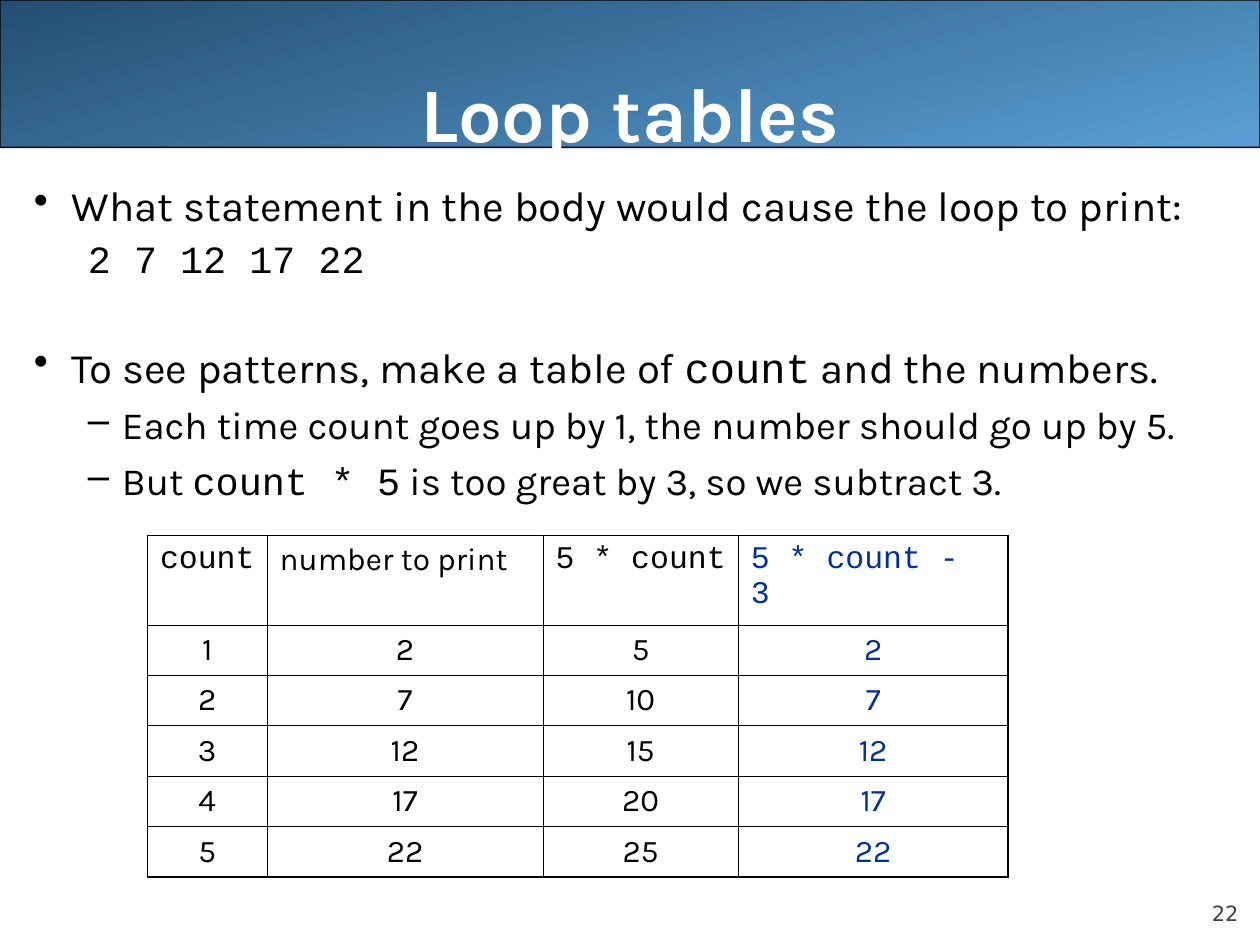
from lxml import etree
from pptx import Presentation
from pptx.dml.color import RGBColor
from pptx.enum.shapes import MSO_SHAPE as Shape
from pptx.enum.text import MSO_ANCHOR as Anchor, PP_ALIGN as Align
from pptx.oxml.ns import qn
from pptx.util import Inches, Pt

THEME = {
    "black": "000000", "white": "FFFFFF", "blue": "003399", "grey": "424242",
    "band": ("244E72", "5A9FD4"),
    "text": "Karla", "code": "Courier New", "number": "DejaVu Sans",
    "title_size": 44, "level_sizes": (24, 22), "table_size": 18, "number_size": 12,
    "outer": 1.08, "inner": 0.45,
}

TITLE = "Loop tables"
PAGE_NUMBER = "22"
# level, bullet, space before, line spacing, runs as (text, font key)
BODY = [
    (0, "•", 6, 0.9,
     [("What statement in the body would cause the loop to print:", "text")]),
    (1, None, 5.5, 0.9, [("2 7 12 17 22", "code")]),
    (0, "•", 34, 1.0, [("To see patterns, make a table of ", "text"),
                       ("count", "code"), (" and the numbers.", "text")]),
    (1, "–", 5.5, 1.0,
     [("Each time count goes up by 1, the number should go up by 5.", "text")]),
    (1, "–", 5.5, 1.0, [("But ", "text"), ("count * 5", "code"),
                        (" is too great by 3, so we subtract 3.", "text")]),
]
INDENTS = ((0.3, -0.3), (0.7, -0.27))

COUNTS = range(1, 6)
# left, text colour, columns as (heading, font key, width, values)
TABLES = [
    (1.17, "black", [
        ("count", "code", 0.95, list(COUNTS)),
        ("number to print", "text", 2.19, [5 * n - 3 for n in COUNTS]),
        ("5 * count", "code", 1.55, [5 * n for n in COUNTS]),
    ]),
    (5.86, "blue", [("5 * count - 3", "code", 2.14, [5 * n - 3 for n in COUNTS])]),
]
TABLE_TOP, HEAD_HEIGHT, ROW_HEIGHT = 4.25, 0.71, 0.4


def style(run, font, size, color, bold=False):
    """Set the font of one run."""
    run.font.name = THEME[font]
    run.font.size = Pt(size)
    run.font.bold = bold
    run.font.color.rgb = RGBColor.from_string(THEME[color])


def set_margins(tf, left, top, right, bottom):
    """Set the text insets in inches."""
    tf.margin_left, tf.margin_top = Inches(left), Inches(top)
    tf.margin_right, tf.margin_bottom = Inches(right), Inches(bottom)


def set_bullet(p, level, bullet):
    """Set the indent and the bullet of a paragraph."""
    left, first = INDENTS[level]
    pPr = p._p.get_or_add_pPr()
    pPr.set("marL", str(Inches(left)))
    pPr.set("indent", str(Inches(first)))
    if bullet:
        etree.SubElement(pPr, qn("a:buChar"), char=bullet)
    else:
        etree.SubElement(pPr, qn("a:buNone"))


def set_borders(cell, widths):
    """Draw the left, right, top and bottom borders of a cell."""
    tcPr = cell._tc.get_or_add_tcPr()
    for i, (side, width) in enumerate(zip("LRTB", widths)):
        ln = etree.Element(qn("a:ln" + side), w=str(Pt(width)))
        fill = etree.SubElement(ln, qn("a:solidFill"))
        etree.SubElement(fill, qn("a:srgbClr"), val=THEME["black"])
        tcPr.insert(i, ln)


def add_band(s):
    """Add the gradient band behind the title."""
    sp = s.shapes.add_shape(Shape.ROUNDED_RECTANGLE, 0, 0, Inches(10), Inches(1.17))
    sp.adjustments[0] = 0.001
    sp.shadow.inherit = False
    sp.fill.gradient()
    sp.fill.gradient_angle = 285
    for stop, color in zip(sp.fill.gradient_stops, THEME["band"]):
        stop.color.rgb = RGBColor.from_string(color)
    sp.line.color.rgb = RGBColor.from_string(THEME["black"])
    sp.line.width = Pt(0.74)
    s.shapes._spTree.insert(2, sp._element)


def add_title(s):
    """Place and format the title."""
    sp = s.shapes.title
    sp.left, sp.top, sp.width, sp.height = map(Inches, (0.5, 0, 9, 1.25))
    tf = sp.text_frame
    tf.text = TITLE
    tf.vertical_anchor = Anchor.BOTTOM
    set_margins(tf, 0, 0.05, 0, 0)
    p = tf.paragraphs[0]
    p.alignment = Align.CENTER
    style(p.runs[0], "text", THEME["title_size"], "white", bold=True)


def add_body(s):
    """Add the bulleted text."""
    tf = s.shapes.add_textbox(*map(Inches, (0.17, 1.42, 9.83, 5.67))).text_frame
    tf.word_wrap = True
    for i, (level, bullet, before, spacing, runs) in enumerate(BODY):
        p = tf.add_paragraph() if i else tf.paragraphs[0]
        p.level = level
        p.space_before = Pt(before)
        p.line_spacing = spacing
        set_bullet(p, level, bullet)
        for text, font in runs:
            r = p.add_run()
            r.text = text
            style(r, font, THEME["level_sizes"][level], "black")


def add_table(s, left, color, columns):
    """Add one table with thick outer and thin inner borders."""
    rows, cols = len(COUNTS) + 1, len(columns)
    width = sum(column[2] for column in columns)
    height = HEAD_HEIGHT + ROW_HEIGHT * len(COUNTS)
    frame = s.shapes.add_table(rows, cols, *map(Inches, (left, TABLE_TOP, width, height)))
    table = frame.table
    table.first_row = table.horz_banding = False
    for i, row in enumerate(table.rows):
        row.height = Inches(ROW_HEIGHT if i else HEAD_HEIGHT)
    for j, (heading, head_font, col_width, values) in enumerate(columns):
        table.columns[j].width = Inches(col_width)
        for i, value in enumerate([heading] + values):
            cell = table.cell(i, j)
            cell.fill.background()
            edges = (j == 0, j == cols - 1, i == 0, i == rows - 1)
            set_borders(cell, [THEME["outer" if e else "inner"] for e in edges])
            cell.text = str(value)
            p = cell.text_frame.paragraphs[0]
            p.alignment = Align.CENTER if i else Align.LEFT
            p.space_before = Pt(4.5)
            style(p.runs[0], "text" if i else head_font, THEME["table_size"], color)


def add_page_number(s):
    """Add the page number at the lower right."""
    tf = s.shapes.add_textbox(*map(Inches, (9, 6.95, 0.83, 0.4))).text_frame
    tf.word_wrap = True
    tf.text = PAGE_NUMBER
    tf.vertical_anchor = Anchor.BOTTOM
    set_margins(tf, 0, 0, 0, 0)
    p = tf.paragraphs[0]
    p.alignment = Align.RIGHT
    p.space_before = Pt(5)
    style(p.runs[0], "number", THEME["number_size"], "grey")


prs = Presentation()
prs.slide_width, prs.slide_height = Inches(10), Inches(7.5)
s = prs.slides.add_slide(prs.slide_layouts[5])
add_band(s)
add_title(s)
add_body(s)
for left, color, columns in TABLES:
    add_table(s, left, color, columns)
add_page_number(s)
prs.save("out.pptx")
